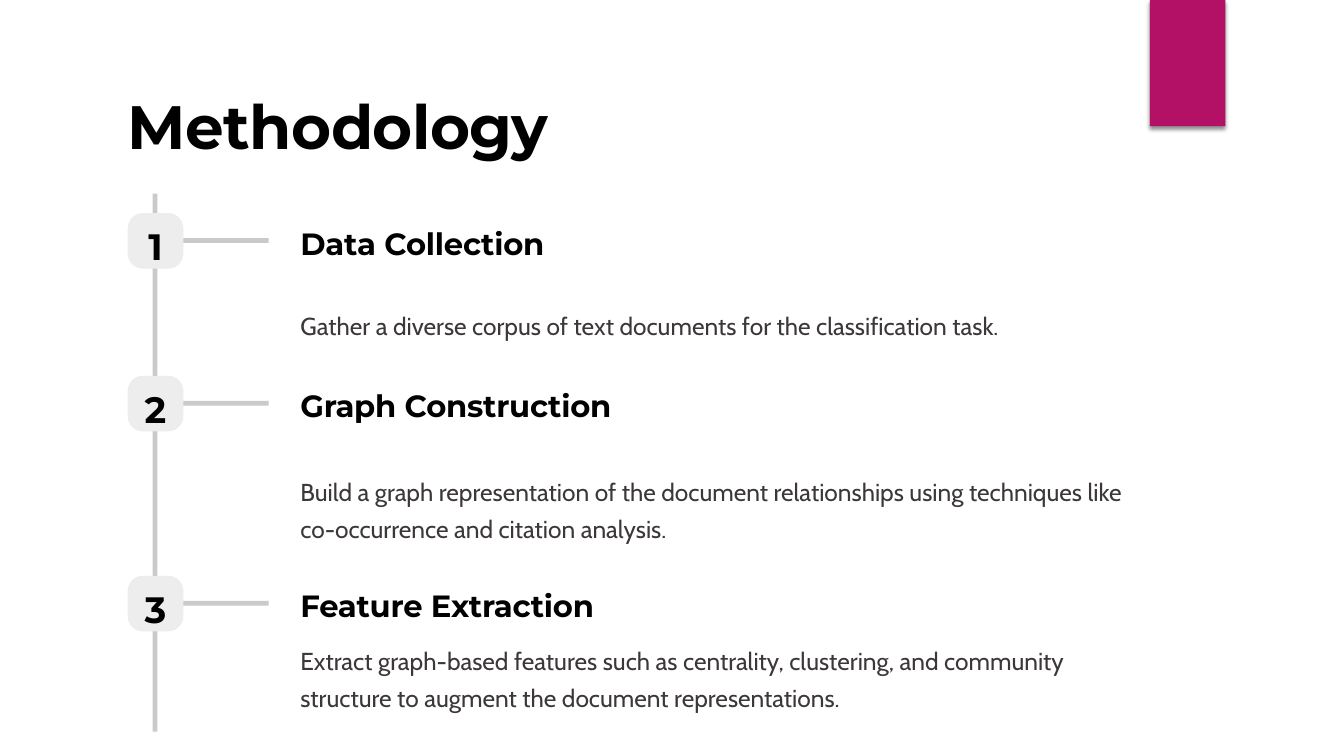
"""Build the Methodology slide: a numbered timeline of three steps."""
from dataclasses import dataclass

from lxml import etree
from pptx import Presentation
from pptx.dml.color import RGBColor
from pptx.enum import shapes, text
from pptx.oxml import ns
from pptx.util import Cm, Pt

BLACK = RGBColor(0x00, 0x00, 0x00)
BODY_GREY = RGBColor(0x3D, 0x38, 0x38)
LINE_GREY = RGBColor(0xCA, 0xCA, 0xCD)
BADGE_GREY = RGBColor(0xED, 0xED, 0xED)
MAGENTA = RGBColor(0xB3, 0x11, 0x66)

BADGE_LEFT, BADGE_SIZE = 3.22, 1.4
NUMBER_WIDTH = 0.5
BAR_THICKNESS = 0.12
TEXT_LEFT = 7.32


@dataclass(frozen=True)
class Style:
    font: str
    size: float
    line: float
    color: RGBColor = BLACK
    bold: bool = True
    spacing: int = 0


@dataclass(frozen=True)
class Step:
    top: float
    heading: str
    body_top: float
    body_height: float
    body: str


TITLE = Style("Montserrat", 43.7, 54.7, spacing=-40)
NUMBER = Style("Montserrat", 26.2, 32.8, spacing=-30)
HEADING = Style("Montserrat", 21.9, 27.3, spacing=-20)
BODY = Style("Cabin", 17.5, 26.2, BODY_GREY, bold=False)

STEPS = [
    Step(5.37, "Data Collection", 7.52, 0.92,
         "Gather a diverse corpus of text documents for the classification task."),
    Step(9.47, "Graph Construction", 11.71, 1.85,
         "Build a graph representation of the document relationships using "
         "techniques like co-occurrence and citation analysis."),
    Step(14.51, "Feature Extraction", 15.98, 1.85,
         "Extract graph-based features such as centrality, clustering, and "
         "community structure to augment the document representations."),
]


def add_block(slide, left: float, top: float, width: float, height: float,
              color: RGBColor, kind=shapes.MSO_SHAPE.RECTANGLE):
    """Add a filled shape without outline or shadow."""
    shape = slide.shapes.add_shape(kind, Cm(left), Cm(top), Cm(width), Cm(height))
    shape.shadow.inherit = False
    shape.fill.solid()
    shape.fill.fore_color.rgb = color
    shape.line.fill.background()
    return shape


def add_label(slide, left: float, top: float, width: float, height: float,
              wording: str, style: Style, centred: bool = False) -> None:
    """Add a one-paragraph text box."""
    box = slide.shapes.add_textbox(Cm(left), Cm(top), Cm(width), Cm(height))
    box.text_frame.word_wrap = not centred
    paragraph = box.text_frame.paragraphs[0]
    paragraph.text = wording
    paragraph.line_spacing = Pt(style.line)
    if centred:
        paragraph.alignment = text.PP_ALIGN.CENTER
    font = paragraph.font
    font.name, font.size, font.bold = style.font, Pt(style.size), style.bold
    font.color.rgb = style.color
    if style.spacing:
        paragraph.runs[0]._r.get_or_add_rPr().set("spc", str(style.spacing))


def add_banner(slide) -> None:
    """Add the magenta corner banner with its soft shadow."""
    banner = add_block(slide, 28.98, 0, 1.9, 3.18, MAGENTA)
    effects = banner._element.spPr.find(ns.qn("a:effectLst"))
    shadow = etree.SubElement(effects, ns.qn("a:outerShdw"), blurRad=str(Pt(3)),
                              dist=str(Pt(2)), dir="5400000", rotWithShape="0")
    color = etree.SubElement(shadow, ns.qn("a:srgbClr"), val="000000")
    etree.SubElement(color, ns.qn("a:alpha"), val="45000")


def add_step(slide, number: int, step: Step) -> None:
    """Add one badge with its bar, heading and body."""
    add_block(slide, BADGE_LEFT + BADGE_SIZE - 0.02, step.top + 0.63, 2.17,
              BAR_THICKNESS, LINE_GREY)
    badge = add_block(slide, BADGE_LEFT, step.top, BADGE_SIZE, BADGE_SIZE,
                      BADGE_GREY, shapes.MSO_SHAPE.ROUNDED_RECTANGLE)
    badge.adjustments[0] = 0.27
    add_label(slide, BADGE_LEFT + (BADGE_SIZE - NUMBER_WIDTH) / 2, step.top + 0.1,
              NUMBER_WIDTH, 1.17, str(number), NUMBER, centred=True)
    add_label(slide, TEXT_LEFT, step.top + 0.13, 8.5, 0.96, step.heading, HEADING)
    add_label(slide, TEXT_LEFT, step.body_top, 21.54, step.body_height,
              step.body, BODY)


def main() -> None:
    """Build and save the presentation."""
    presentation = Presentation()
    presentation.slide_width, presentation.slide_height = Cm(33.87), Cm(19.05)
    slide = presentation.slides.add_slide(presentation.slide_layouts[6])
    add_banner(slide)
    add_label(slide, 2.97, 2.01, 15.44, 1.93, "Methodology", TITLE)
    add_block(slide, 3.85, 4.88, BAR_THICKNESS, 13.56, LINE_GREY)
    for number, step in enumerate(STEPS, start=1):
        add_step(slide, number, step)
    presentation.save("out.pptx")


if __name__ == "__main__":
    main()
